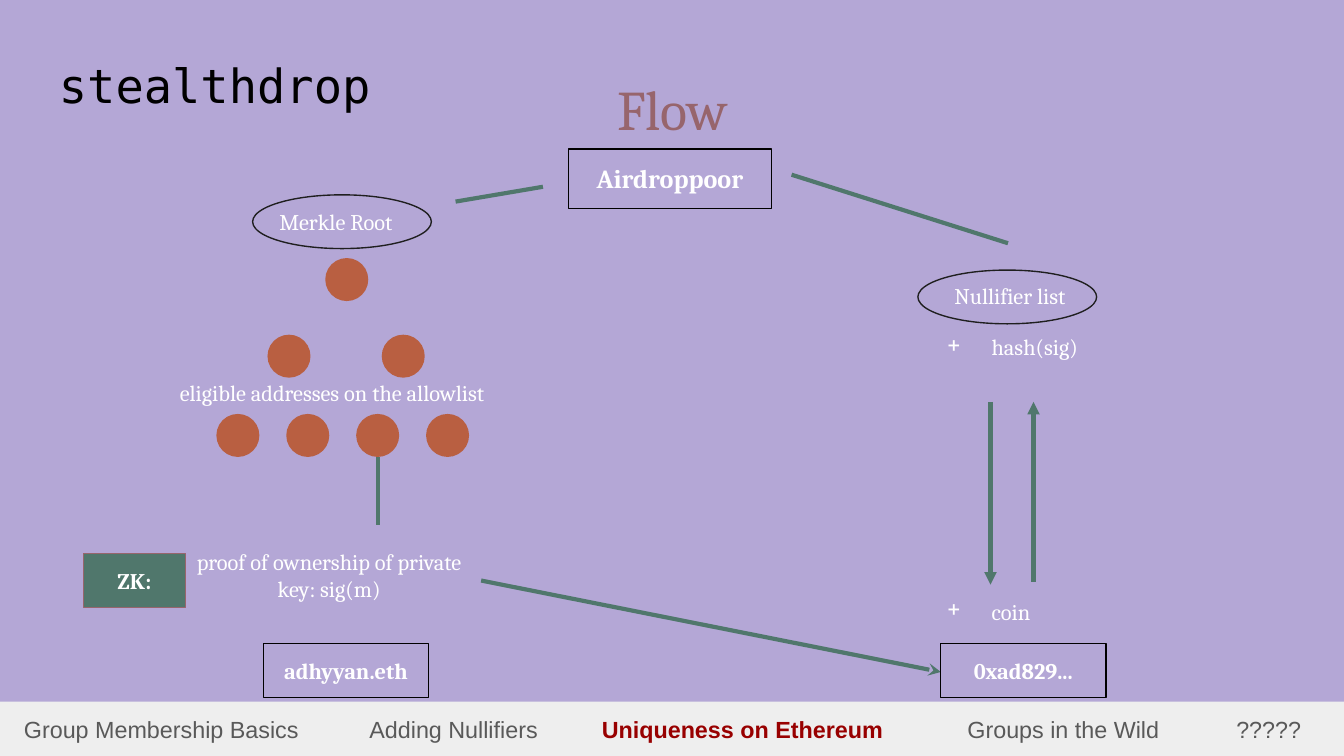
from lxml import etree
from pptx import Presentation
from pptx.dml.color import RGBColor
from pptx.enum.shapes import MSO_CONNECTOR, MSO_SHAPE
from pptx.enum.text import MSO_ANCHOR, PP_ALIGN
from pptx.oxml.ns import qn
from pptx.util import Inches, Pt

LAVENDER = RGBColor(0xB4, 0xA7, 0xD6)
BLACK = RGBColor(0, 0, 0)
INK = RGBColor(0x1F, 0x1F, 0x1F)
WHITE = RGBColor(0xFF, 0xFF, 0xFF)
MAUVE = RGBColor(0x97, 0x65, 0x6C)
RUST = RGBColor(0xB9, 0x5F, 0x41)
GREEN = RGBColor(0x50, 0x77, 0x6C)
PALE = RGBColor(0xEE, 0xEE, 0xEE)
GREY = RGBColor(0x59, 0x59, 0x59)
RED = RGBColor(0x98, 0, 0)

RECT, OVAL = MSO_SHAPE.RECTANGLE, MSO_SHAPE.OVAL
STRAIGHT = MSO_CONNECTOR.STRAIGHT
LEFT, CENTER = PP_ALIGN.LEFT, PP_ALIGN.CENTER
TOP, MIDDLE = MSO_ANCHOR.TOP, MSO_ANCHOR.MIDDLE
INSETS = ("margin_left", "margin_top", "margin_right", "margin_bottom")
BODY = {"name": "Cambria", "size": Pt(12), "bold": False}
STRONG = {**BODY, "bold": True}
NODE = 0.32


def add_run(p, text, fmt, color):
    """Append a run with the given font format and colour."""
    r = p.add_run()
    r.text = text
    for name, value in fmt.items():
        setattr(r.font, name, value)
    r.font.color.rgb = color


def set_frame(sp, align=LEFT, anchor=TOP):
    """Prepare a text frame and return its first paragraph."""
    tf = sp.text_frame
    tf.word_wrap = True
    tf.vertical_anchor = anchor
    for name in INSETS:
        setattr(tf, name, Inches(0.1))
    p = tf.paragraphs[0]
    p.alignment = align
    return p


def add_text(s, box, text, fmt=BODY, color=WHITE, align=LEFT, anchor=TOP):
    """Place a text box holding one line of copy."""
    sp = s.shapes.add_textbox(*map(Inches, box))
    p = set_frame(sp, align, anchor)
    add_run(p, text, fmt, color)
    return p


def add_shape(s, kind, box, fill=None, line=None, text=None, fmt=STRONG):
    """Place a preset shape with optional fill, outline and label."""
    sp = s.shapes.add_shape(kind, *map(Inches, box))
    sp.shadow.inherit = False
    if fill is None:
        sp.fill.background()
    else:
        sp.fill.solid()
        sp.fill.fore_color.rgb = fill
    if line is None:
        sp.line.fill.background()
    else:
        sp.line.color.rgb = line
        sp.line.width = Pt(0.75)
    if text:
        add_run(set_frame(sp, CENTER), text, fmt, WHITE)


def add_link(s, x1, y1, x2, y2, head=None):
    """Draw a green line with an optional arrowhead at its end."""
    sp = s.shapes.add_connector(STRAIGHT, *map(Inches, (x1, y1, x2, y2)))
    sp.line.color.rgb = GREEN
    sp.line.width = Pt(2.25)
    if head:
        etree.SubElement(sp.line._get_or_add_ln(), qn("a:tailEnd"), type=head)
    etree.SubElement(sp._element.spPr, qn("a:effectLst"))


def add_plus_item(s, box, text):
    """Place a text box with one item bulleted by a plus sign."""
    p = add_text(s, box, text)
    pPr = p._p.get_or_add_pPr()
    pPr.set("marL", str(Inches(0.5)))
    pPr.set("indent", str(Inches(-0.33)))
    clr = etree.SubElement(pPr, qn("a:buClr"))
    etree.SubElement(clr, qn("a:srgbClr"), val=str(WHITE))
    etree.SubElement(pPr, qn("a:buChar"), char="+")


def add_header(s, x, y):
    """Place the project name, the heading and the contract box."""
    add_text(s, (x, y, 4.7, 0.63), "stealthdrop",
             {"name": "DejaVu Sans Mono", "size": Pt(25.2)}, BLACK)
    add_text(s, (x + 0.45, y + 0.17, 8.43, 0.63), "Flow",
             {**BODY, "size": Pt(30)}, MAUVE, CENTER, MIDDLE)
    add_shape(s, RECT, (x + 3.89, y + 0.79, 1.51, 0.44), line=BLACK,
              text="Airdroppoor", fmt={**STRONG, "size": Pt(14)})
    add_link(s, x + 3.7, y + 1.07, x + 3.05, y + 1.18)
    add_link(s, x + 7.16, y + 1.49, x + 5.55, y + 0.98)


def add_merkle_tree(s, x, y):
    """Draw the tree of allowlisted addresses under its root label."""
    add_shape(s, OVAL, (x + 0.64, y, 1.33, 0.4), line=INK)
    add_text(s, (x + 0.74, y, 1.23, 0.4), "Merkle Root")
    levels = ((1, 1.18, 0, 0.47), (2, 0.75, 0.85, 1.04), (4, 0.37, 0.52, 1.63))
    for count, left, step, top in levels:
        for i in range(count):
            add_shape(s, OVAL, (x + left + i * step, y + top, NODE, NODE), RUST)
    add_text(s, (x, y + 1.27, 3.16, 0.4), "eligible addresses on the allowlist")
    add_link(s, x + 1.57, y + 1.95, x + 1.57, y + 2.46)


def add_proof(s, x, y):
    """Place the zero-knowledge proof and the account that makes it."""
    add_text(s, (x + 0.7, y, 2.26, 0.61),
             "proof of ownership of private key: sig(m)", align=CENTER)
    add_shape(s, RECT, (x, y + 0.14, 0.76, 0.4), GREEN, MAUVE, "ZK:")
    add_shape(s, RECT, (x + 1.34, y + 0.81, 1.23, 0.4), line=BLACK, text="adhyyan.eth")
    add_link(s, x + 2.96, y + 0.34, x + 6.38, y + 1.02, "stealth")


def add_claim(s, x, y):
    """Place the nullifier list, the claiming account and their exchange."""
    add_shape(s, OVAL, (x + 0.05, y, 1.33, 0.4), line=INK)
    add_text(s, (x + 0.12, y - 0.01, 1.23, 0.4), "Nullifier list", align=CENTER)
    add_plus_item(s, (x, y + 0.37, 1.66, 0.4), "hash(sig)")
    add_plus_item(s, (x, y + 2.34, 1.66, 0.4), "coin")
    add_shape(s, RECT, (x + 0.22, y + 2.78, 1.23, 0.4), line=BLACK, text="0xad829...")
    add_link(s, x + 0.91, y + 2.32, x + 0.91, y + 0.98, "triangle")
    add_link(s, x + 0.59, y + 0.98, x + 0.59, y + 2.34, "triangle")


def add_footer(s, x, y):
    """Draw the section bar with the current section highlighted."""
    add_shape(s, RECT, (x, y, 10, 0.41), PALE)
    sp = s.shapes.add_textbox(*map(Inches, (x + 0.08, y, 9.88, 0.41)))
    p = set_frame(sp)
    tabs = etree.SubElement(p._p.get_or_add_pPr(), qn("a:tabLst"))
    for pos in (2.57, 4.3, 7.02, 9.02):
        etree.SubElement(tabs, qn("a:tab"), pos=str(Inches(pos)), algn="l")
    fmt = {"name": "Arial", "size": Pt(12.5)}
    add_run(p, "Group Membership Basics\tAdding Nullifiers\t", fmt, GREY)
    add_run(p, "Uniqueness on Ethereum", {**fmt, "bold": True}, RED)
    add_run(p, "\tGroups in the Wild\t?????", fmt, GREY)


def main():
    """Build the slide and save it."""
    prs = Presentation()
    prs.slide_width, prs.slide_height = Inches(10), Inches(10 * 9 / 16)
    s = prs.slides.add_slide(prs.slide_layouts[6])
    s.background.fill.solid()
    s.background.fill.fore_color.rgb = LAVENDER
    add_footer(s, 0, 5.22)
    add_header(s, 0.34, 0.32)
    add_merkle_tree(s, 1.24, 1.45)
    add_proof(s, 0.62, 3.98)
    add_claim(s, 6.78, 2.01)
    prs.save("out.pptx")


if __name__ == "__main__":
    main()
